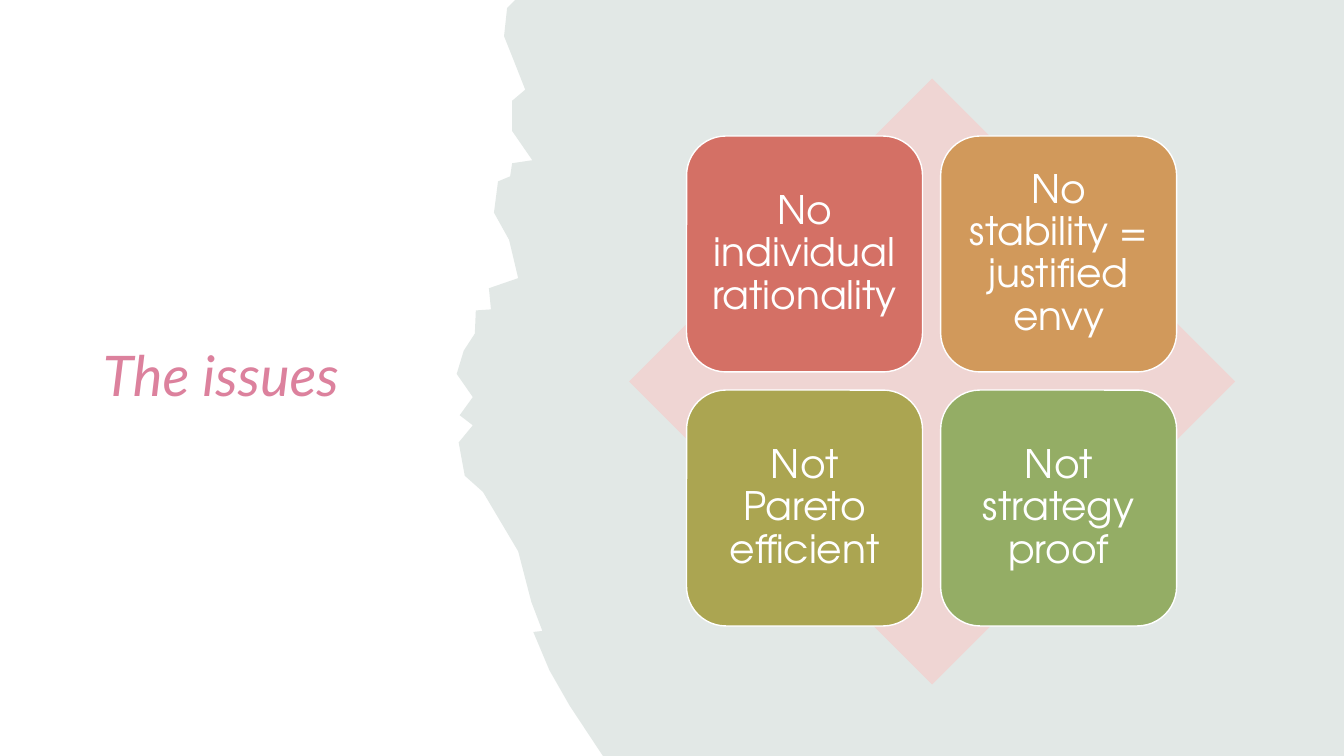
from pptx import Presentation
from pptx.dml.color import RGBColor
from pptx.enum.shapes import MSO_SHAPE
from pptx.enum.text import MSO_ANCHOR, PP_ALIGN
from pptx.util import Pt

PX = 9144
RECTANGLE = MSO_SHAPE.RECTANGLE
DIAMOND = MSO_SHAPE.DIAMOND
ROUNDED = MSO_SHAPE.ROUNDED_RECTANGLE
MIDDLE = MSO_ANCHOR.MIDDLE
LEFT = PP_ALIGN.LEFT
CENTER = PP_ALIGN.CENTER

WHITE = RGBColor(0xFF, 0xFF, 0xFF)
MIST = RGBColor(0xE2, 0xE8, 0xE6)
ROSE = RGBColor(0xDC, 0x81, 0x9D)
BLUSH = RGBColor(0xEF, 0xD5, 0xD3)
CORAL = RGBColor(0xD4, 0x70, 0x65)
AMBER = RGBColor(0xD1, 0x99, 0x5B)
OLIVE = RGBColor(0xAB, 0xA5, 0x51)
GREEN = RGBColor(0x94, 0xAD, 0x65)

WIDTH, HEIGHT = 1333, 750
CARD, PITCH = 234, 252
CARDS_LEFT, CARDS_TOP = 681, 135
INSET = 12

ISSUES = [
    ("No individual rationality", CORAL),
    ("No stability = justified envy", AMBER),
    ("Not Pareto efficient", OLIVE),
    ("Not strategy proof", GREEN),
]

TORN_EDGE = [
    (511, 0), (503, 8), (500, 36), (510, 61), (521, 89), (508, 100),
    (508, 130), (528, 159), (508, 162), (506, 175), (494, 180),
    (490, 211), (505, 238), (514, 276), (485, 286), (487, 307),
    (472, 308), (471, 331), (460, 348), (453, 371), (469, 394),
    (456, 412), (469, 422), (455, 439), (461, 472), (479, 488),
    (514, 547), (527, 597), (538, 626), (529, 627), (545, 665),
    (565, 700), (598, 750),
]


def paint(shape, color):
    shape.shadow.inherit = False
    shape.fill.solid()
    shape.fill.fore_color.rgb = color
    shape.line.fill.background()


def add_block(slide, preset, left, top, width, height, color):
    block = slide.shapes.add_shape(
        preset, left * PX, top * PX, width * PX, height * PX)
    paint(block, color)
    return block


def add_torn_panel(slide):
    outline = slide.shapes.build_freeform(WIDTH, 0, scale=PX)
    outline.add_line_segments(TORN_EDGE + [(WIDTH, HEIGHT)], close=True)
    paint(outline.convert_to_shape(), MIST)


def set_text(frame, text, font_name, size, color, alignment):
    frame.text = text
    frame.word_wrap = True
    frame.vertical_anchor = MIDDLE
    paragraph = frame.paragraphs[0]
    paragraph.alignment = alignment
    paragraph.line_spacing = 0.9
    paragraph.font.name = font_name
    paragraph.font.size = Pt(size)
    paragraph.font.color.rgb = color
    return paragraph


def place_title(slide, text):
    title = slide.shapes.title
    title.left, title.top = 92 * PX, 78 * PX
    title.width, title.height = 350 * PX, 594 * PX
    set_text(title.text_frame, text, "Lato", 40, ROSE, LEFT).font.italic = True
    slide.shapes._spTree.append(title._element)


def add_card(slide, index, text, color):
    row, column = divmod(index, 2)
    card = add_block(slide, ROUNDED, CARDS_LEFT + column * PITCH,
                     CARDS_TOP + row * PITCH, CARD, CARD, color)
    card.line.color.rgb = WHITE
    card.line.width = Pt(1)
    frame = card.text_frame
    frame.margin_left = frame.margin_right = INSET * PX
    frame.margin_top = frame.margin_bottom = INSET * PX
    set_text(frame, text, "TeX Gyre Adventor", 28, WHITE, CENTER)


def main():
    deck = Presentation()
    deck.slide_width, deck.slide_height = WIDTH * PX, HEIGHT * PX
    slide = deck.slides.add_slide(deck.slide_layouts[5])
    slide.background.fill.solid()
    slide.background.fill.fore_color.rgb = MIST
    add_block(slide, RECTANGLE, 0, 0, WIDTH, HEIGHT, WHITE)
    place_title(slide, "The issues")
    add_torn_panel(slide)
    add_block(slide, DIAMOND, 624, 78, 601, 601, BLUSH)
    for index, (text, color) in enumerate(ISSUES):
        add_card(slide, index, text, color)
    deck.save("out.pptx")


if __name__ == "__main__":
    main()
